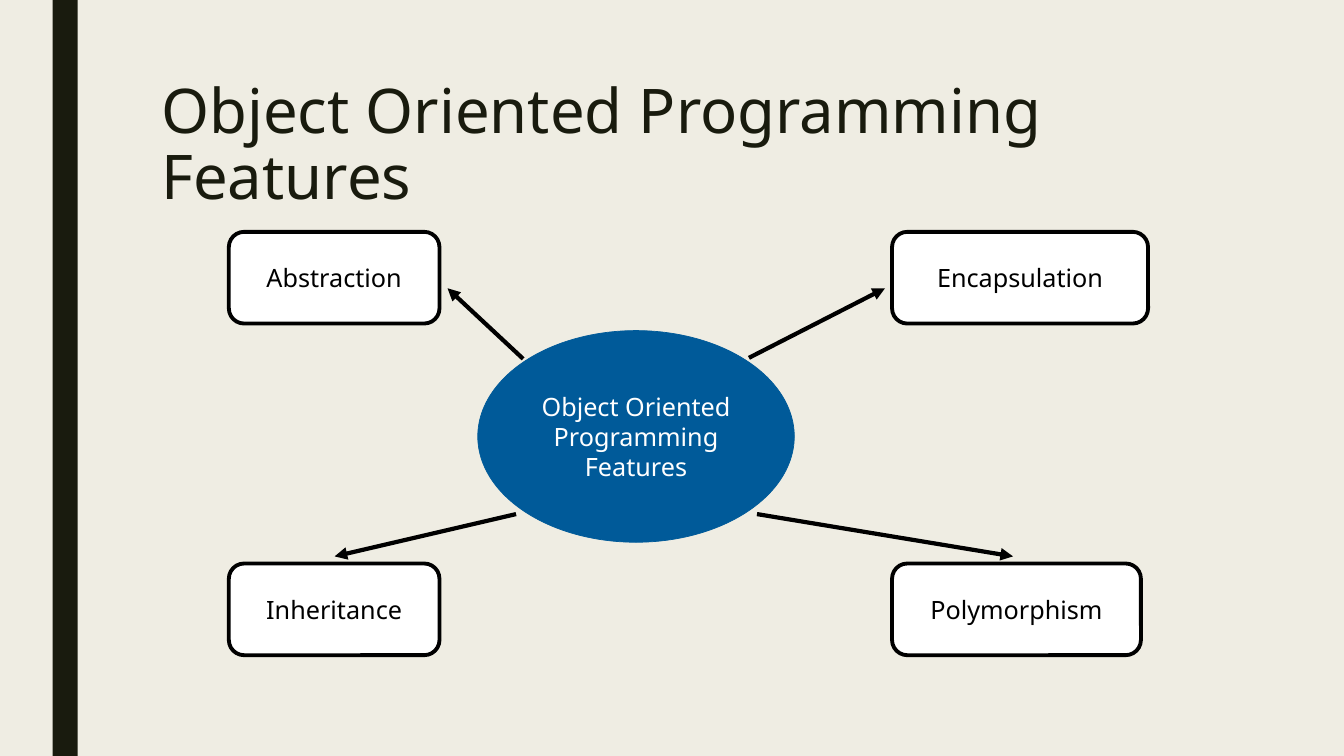
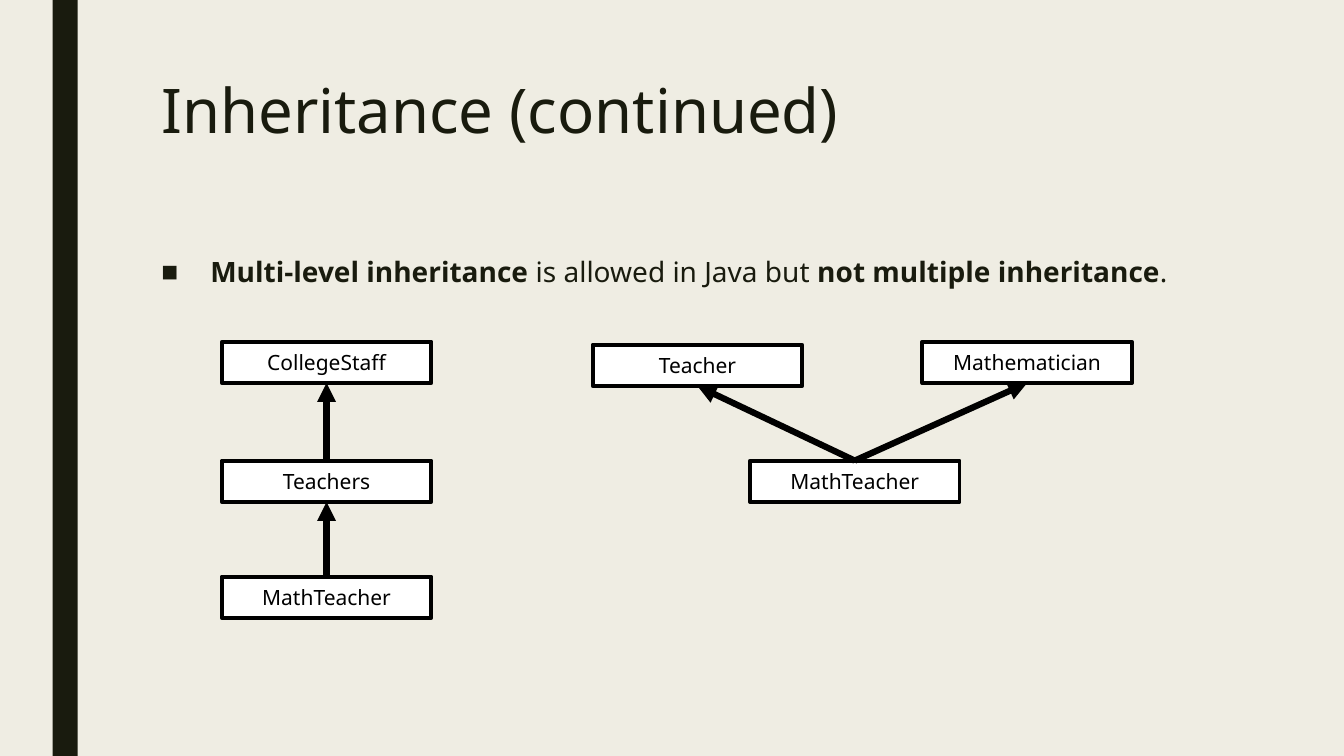
from dataclasses import dataclass

import pptx
import pptx.dml.color
import pptx.enum.shapes
import pptx.enum.text
import pptx.oxml.ns
import pptx.oxml.xmlchemy
import pptx.presentation
import pptx.shapes.autoshape
import pptx.shapes.connector
import pptx.slide
import pptx.text.text
import pptx.util
from lxml import etree

Pt = pptx.util.Pt
Shape = pptx.enum.shapes.MSO_SHAPE
Align = pptx.enum.text.PP_ALIGN
Anchor = pptx.enum.text.MSO_ANCHOR

# Shared look
FONT = "Noto Sans"
PAPER, INK, BLUE = "EFEDE3", "191B0E", "005A99"
WHITE, BLACK = "FFFFFF", "000000"
SLIDE_WIDTH, SLIDE_HEIGHT = 960, 540
MARGIN, TEXT_WIDTH = 108, 756


@dataclass(frozen=True)
class Node:
    text: str
    left: float
    top: float
    width: float
    height: float
    size: float
    outline: Shape = Shape.RECTANGLE
    fill: str = WHITE
    line: str = BLACK
    line_width: float = 2.75
    color: str = BLACK


@dataclass(frozen=True)
class Arrow:
    x1: float
    y1: float
    x2: float
    y2: float


def rgb(value: str) -> pptx.dml.color.RGBColor:
    return pptx.dml.color.RGBColor.from_string(value)


def add_run(paragraph: pptx.text.text._Paragraph, text: str, size: float,
            color: str, bold: bool = False) -> None:
    run = paragraph.add_run()
    run.text = text
    run.font.name, run.font.size, run.font.bold = FONT, Pt(size), bold
    run.font.color.rgb = rgb(color)


def place_text(placeholder: pptx.shapes.autoshape.Shape, top: float,
               height: float, spacing: float) -> pptx.text.text._Paragraph:
    """Move a placeholder into the text column and return its first paragraph."""
    placeholder.left, placeholder.top = Pt(MARGIN), Pt(top)
    placeholder.width, placeholder.height = Pt(TEXT_WIDTH), Pt(height)
    frame = placeholder.text_frame
    frame.word_wrap = True
    frame.auto_size = pptx.enum.text.MSO_AUTO_SIZE.NONE
    frame.vertical_anchor = Anchor.TOP
    paragraph = frame.paragraphs[0]
    paragraph.alignment = Align.LEFT
    paragraph.line_spacing = spacing
    return paragraph


def add_slide(deck: pptx.presentation.Presentation, layout: int,
              title: str) -> pptx.slide.Slide:
    slide = deck.slides.add_slide(deck.slide_layouts[layout])
    add_run(place_text(slide.shapes.title, 54, 116.64, 0.89), title, 44, INK)
    return slide


def add_node(slide: pptx.slide.Slide, node: Node) -> pptx.shapes.autoshape.Shape:
    shape = slide.shapes.add_shape(node.outline, Pt(node.left), Pt(node.top),
                                   Pt(node.width), Pt(node.height))
    shape.shadow.inherit = False
    shape.fill.solid()
    shape.fill.fore_color.rgb = rgb(node.fill)
    shape.line.color.rgb = rgb(node.line)
    shape.line.width = Pt(node.line_width)
    frame = shape.text_frame
    frame.word_wrap = True
    frame.vertical_anchor = Anchor.MIDDLE
    frame.paragraphs[0].alignment = Align.CENTER
    add_run(frame.paragraphs[0], node.text, node.size, node.color)
    return shape


def add_arrow(slide: pptx.slide.Slide, arrow: Arrow,
              width: float) -> pptx.shapes.connector.Connector:
    connector = slide.shapes.add_connector(
        pptx.enum.shapes.MSO_CONNECTOR.STRAIGHT,
        Pt(arrow.x1), Pt(arrow.y1), Pt(arrow.x2), Pt(arrow.y2))
    connector.line.color.rgb = rgb(BLACK)
    connector.line.width = Pt(width)
    qn = pptx.oxml.ns.qn
    properties = connector.element.spPr
    etree.SubElement(properties.find(qn("a:ln")), qn("a:tailEnd"), type="triangle")
    etree.SubElement(properties, qn("a:effectLst"))
    return connector


def add_band_to_master(deck: pptx.presentation.Presentation,
                       slide: pptx.slide.Slide) -> None:
    """Draw the side band and move it behind everything on the master."""
    band = slide.shapes.add_shape(Shape.RECTANGLE, Pt(37.5), Pt(0),
                                  Pt(18), Pt(SLIDE_HEIGHT))
    band.shadow.inherit = False
    band.fill.solid()
    band.fill.fore_color.rgb = rgb(INK)
    band.line.fill.background()
    band.element.nvSpPr.cNvPr.set("id", "20")
    deck.slide_master.element.cSld.spTree.insert(2, band.element)


deck = pptx.Presentation()
deck.slide_width, deck.slide_height = Pt(SLIDE_WIDTH), Pt(SLIDE_HEIGHT)
deck.slide_master.background.fill.solid()
deck.slide_master.background.fill.fore_color.rgb = rgb(PAPER)

# Slide 1: the four features around the centre
features = add_slide(deck, 5, "Object Oriented Programming Features")
add_band_to_master(deck, features)
add_node(features, Node("Object Oriented Programming Features", 341.28, 236.16,
                        226.08, 151.2, 18, Shape.OVAL, BLUE, BLUE, 0.5, WHITE))

LEFT_COLUMN, RIGHT_COLUMN = 163.44, 637.2
UPPER_ROW, LOWER_ROW = 165.6, 402.48
for name, left, top, width in (
    ("Abstraction", LEFT_COLUMN, UPPER_ROW, 150.5),
    ("Encapsulation", RIGHT_COLUMN, UPPER_ROW, 182.9),
    ("Inheritance", LEFT_COLUMN, LOWER_ROW, 150.5),
    ("Polymorphism", RIGHT_COLUMN, LOWER_ROW, 177.8),
):
    add_node(features, Node(name, left, top, width, 65.5, 18,
                            Shape.ROUNDED_RECTANGLE))

for feature_arrow in (
    Arrow(373.68, 256.32, 319.68, 205.92),
    Arrow(534.96, 255.6, 632.16, 205.92),
    Arrow(368.64, 367.2, 239.04, 397.44),
    Arrow(540.72, 367.2, 723.6, 397.44),
):
    add_arrow(features, feature_arrow, 3)

# Slide 2: multi-level against multiple inheritance
inheritance = add_slide(deck, 1, "Inheritance (continued)")
statement = place_text(inheritance.placeholders[1], 180, 55.44, 0.94)
statement.space_before, statement.space_after = Pt(10), Pt(2)
bullet_format = statement._p.get_or_add_pPr()
bullet_format.set("marL", str(Pt(35)))
bullet_format.set("indent", str(-Pt(35)))
etree.SubElement(bullet_format, pptx.oxml.ns.qn("a:buChar"), char="■")
for text, bold in (
    ("Multi-level inheritance ", True),
    ("is allowed in Java but ", False),
    ("not multiple inheritance", True),
    (".", False),
):
    add_run(statement, text, 20, INK, bold)


def add_class(name: str, left: float, top: float) -> pptx.shapes.autoshape.Shape:
    return add_node(inheritance, Node(name, left, top, 149.76, 29.52, 15))


CHAIN_LEFT, TOP_LEVEL, MIDDLE_LEVEL, BOTTOM_LEVEL = 158.4, 244.08, 329.04, 411.84
college_staff = add_class("CollegeStaff", CHAIN_LEFT, TOP_LEVEL)
teachers = add_class("Teachers", CHAIN_LEFT, MIDDLE_LEVEL)
chain_math_teacher = add_class("MathTeacher", CHAIN_LEFT, BOTTOM_LEVEL)
mathematician = add_class("Mathematician", 658.8, TOP_LEVEL)
math_teacher = add_class("MathTeacher", 535.68, MIDDLE_LEVEL)
teacher = add_class("Teacher", 423.36, 246.24)

# Each arrow runs from the top of a subclass to the bottom of its superclass
TOP_SITE, BOTTOM_SITE = 0, 2
for subclass, superclass in (
    (teachers, college_staff),
    (chain_math_teacher, teachers),
    (math_teacher, mathematician),
    (math_teacher, teacher),
):
    extends = add_arrow(inheritance, Arrow(0, 0, 0, 0), 4.5)
    extends.begin_connect(subclass, TOP_SITE)
    extends.end_connect(superclass, BOTTOM_SITE)

deck.save("out.pptx")
